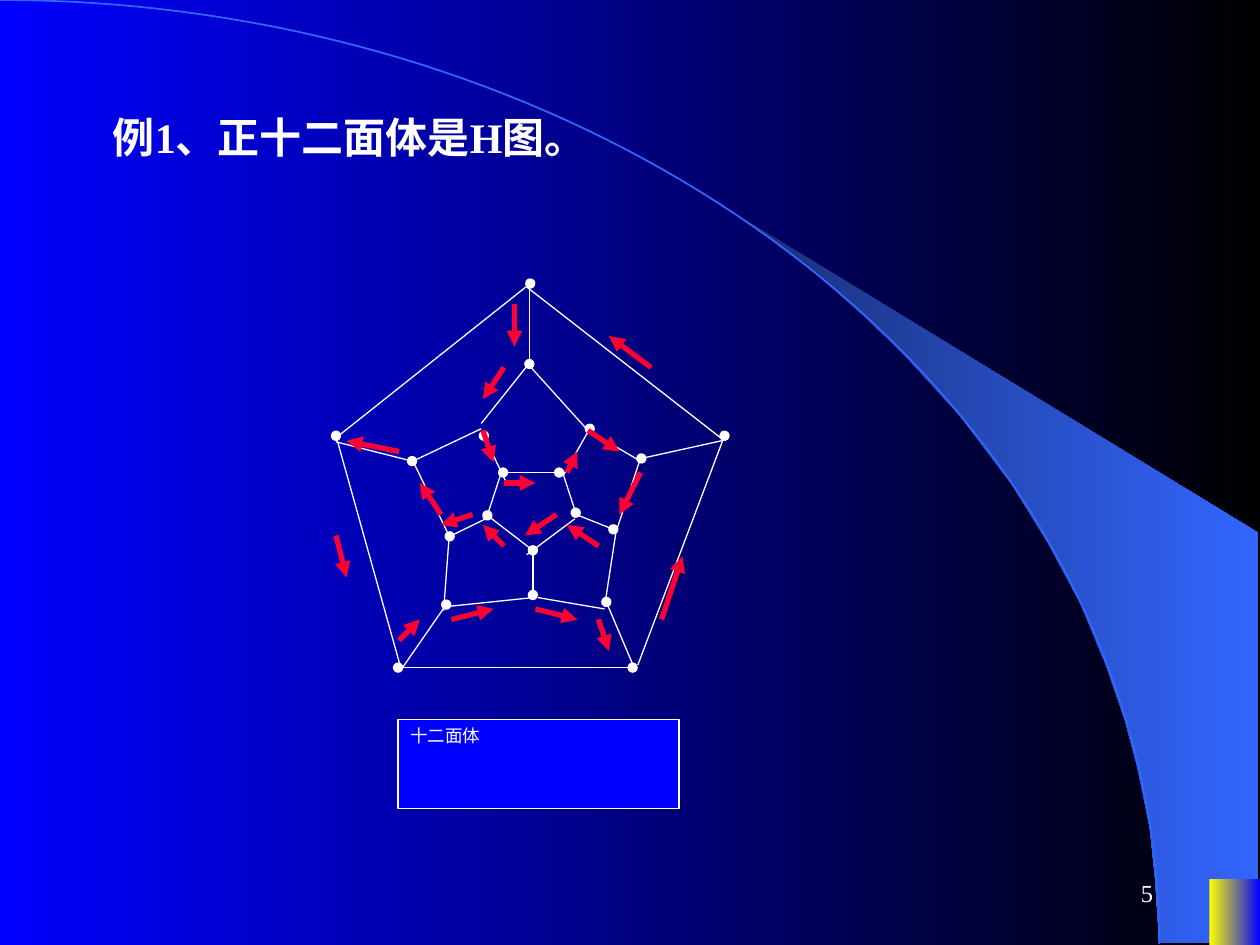
import math

import lxml.etree
import pptx
import pptx.dml.color
import pptx.enum.shapes
import pptx.enum.text
import pptx.oxml.ns
import pptx.util

Pt = pptx.util.Pt
qn = pptx.oxml.ns.qn
ALIGN = pptx.enum.text.PP_ALIGN
ANCHOR = pptx.enum.text.MSO_ANCHOR
RECT = pptx.enum.shapes.MSO_SHAPE.RECTANGLE
STRAIGHT = pptx.enum.shapes.MSO_CONNECTOR.STRAIGHT

FONT = "Times New Roman"
COLORS = {
    "blue": "0000FF",
    "black": "000000",
    "navy": "182F76",
    "sky": "3366FF",
    "yellow": "FFFF00",
    "white": "FFFFFF",
    "red": "FF0033",
}

# Edges of the dodecahedron graph: x1, y1, x2, y2 in points
EDGES_DOT_START = [
    (111, 0, 1.5, 87), (0, 87, 37, 219.5), (63, 183.5, 37, 221),
    (222, 87, 172.5, 218), (154.5, 182, 171, 221), (43.5, 101.5, 0, 90.5),
    (174.5, 100, 222, 89.5), (110.5, 46, 110.5, 0), (86.5, 132.5, 94, 109.5),
    (137, 131, 130, 109.5), (112.5, 152.5, 86.5, 132.5), (84.5, 87, 97.5, 114),
    (145, 83, 130, 109.5), (65, 144.5, 86.5, 134), (158.5, 140.5, 138.5, 132.5),
    (112.5, 178, 112.5, 154),
]
EDGES_DOT_BOTH = [(169.5, 219.5, 35.5, 219.5), (127.5, 108, 95.5, 108)]
EDGES_PLAIN = [
    (109, 2, 221.5, 89.5), (136.5, 134.5, 109, 155), (110.5, 45.5, 83, 80),
    (111, 47.5, 144, 84), (144, 84, 174, 101.5), (174, 100, 160, 142),
    (115.5, 179.5, 153.5, 186), (160, 142, 153.5, 184.5), (64.5, 147, 61.5, 187),
    (64.5, 184.5, 112.5, 179.5), (44, 101.5, 83, 83), (44, 101.5, 66, 147),
]

# Arrows of the Hamiltonian cycle: x1, y1, x2, y2 in steps of the grid
GRID = 6
CYCLE = [
    (0, 24, 1, 28), (6, 34, 8, 32), (11, 32, 15, 31), (19, 31, 23, 32),
    (25, 32, 26, 35), (31, 32, 33, 26), (30, 8, 26, 5), (17, 2, 17, 6),
    (16, 8, 14, 11), (14, 14, 15, 17), (16, 19, 19, 19), (22, 18, 23, 16),
    (24, 14, 27, 16), (29, 18, 27, 22), (25, 25, 22, 23), (21, 22, 18, 24),
    (16, 25, 14, 23), (13, 22, 10, 23), (10, 22, 8, 19), (6, 16, 1, 15),
]

# Curved wedge at the right: points relative to its box
WEDGE = [
    (238.5, 414), (295, 414.5), (295, 180), (0, 0), (25, 18.5), (46, 35),
    (69, 55.5), (91.5, 77), (124.5, 113), (154, 152), (175, 186), (193.5, 220.5),
    (208, 255.5), (219, 287.5), (226, 314), (233, 348), (236, 376.5),
]


def rgb(name):
    return pptx.dml.color.RGBColor.from_string(COLORS[name])


def set_gradient(fill, start, end):
    fill.gradient()
    fill.gradient_angle = 0
    for stop, name, pos in zip(fill.gradient_stops, (start, end), (0, 1)):
        stop.color.rgb = rgb(name)
        stop.position = pos


def add_line(shapes, x1, y1, x2, y2, color, width, head=None, tail=None):
    c = shapes.add_connector(STRAIGHT, Pt(x1), Pt(y1), Pt(x2), Pt(y2))
    c.line.color.rgb = rgb(color)
    c.line.width = Pt(width)
    ln = c.line._get_or_add_ln()
    for tag, kind in (("a:headEnd", head), ("a:tailEnd", tail)):
        if kind:
            lxml.etree.SubElement(ln, qn(tag), type=kind)
    lxml.etree.SubElement(c._element.spPr, qn("a:effectLst"))


def add_outline(shapes, x, y, points, close):
    pts = [(Pt(x + px), Pt(y + py)) for px, py in points]
    fb = shapes.build_freeform(*pts[0], scale=1.0)
    fb.add_line_segments(pts[1:], close=close)
    sp = fb.convert_to_shape()
    sp.shadow.inherit = False
    return sp


def set_text(sp, text, size, align, anchor=ANCHOR.TOP, bold=False):
    tf = sp.text_frame
    tf.word_wrap = True
    tf.vertical_anchor = anchor
    p = tf.paragraphs[0]
    p.alignment = align
    r = p.add_run()
    r.text = text
    r.font.size = Pt(size)
    r.font.name = FONT
    r.font.bold = bold
    r.font.color.rgb = rgb("white")


def add_backdrop(s, w, h):
    set_gradient(s.background.fill, "blue", "black")
    # Wedge
    sp = add_outline(s.shapes, w - 296, 124.5, WEDGE, True)
    set_gradient(sp.fill, "navy", "sky")
    sp.line.fill.background()
    # Quarter ellipse
    steps = 80
    angles = [math.pi / 2 * i / steps for i in range(steps + 1)]
    rx, ry = w - 57.6, h - 0.7
    arc = [(rx * math.sin(t), ry * (1 - math.cos(t))) for t in angles]
    sp = add_outline(s.shapes, 0, 0, arc, False)
    sp.fill.background()
    sp.line.color.rgb = rgb("sky")
    sp.line.width = Pt(1)
    # Corner block
    sp = s.shapes.add_shape(RECT, Pt(w - 29), Pt(h - 37.5), Pt(29), Pt(37.5))
    sp.shadow.inherit = False
    set_gradient(sp.fill, "yellow", "blue")
    sp.line.fill.background()


def add_title(s, x, y, w, h):
    sp = s.shapes.add_textbox(Pt(x), Pt(y), Pt(w), Pt(h))
    set_text(sp, "例1、正十二面体是H图。", 24, ALIGN.LEFT, bold=True)
    sp.text_frame.margin_left = Pt(28.5)


def add_page_number(s, x, y, w, h):
    sp = s.shapes.add_textbox(Pt(x), Pt(y), Pt(w), Pt(h))
    set_text(sp, "5", 14, ALIGN.RIGHT, ANCHOR.MIDDLE)


def add_dodecahedron(s, x, y):
    grp = s.shapes.add_group_shape()
    for edges, head, tail in (
        (EDGES_DOT_START, "oval", None),
        (EDGES_DOT_BOTH, "oval", "oval"),
        (EDGES_PLAIN, None, None),
    ):
        for x1, y1, x2, y2 in edges:
            add_line(grp.shapes, x + x1, y + y1, x + x2, y + y2,
                     "white", 0.75, head, tail)
    # Caption
    sp = grp.shapes.add_shape(RECT, Pt(x + 35.5), Pt(y + 249), Pt(160.5), Pt(51))
    sp.shadow.inherit = False
    sp.fill.solid()
    sp.fill.fore_color.rgb = rgb("blue")
    sp.line.color.rgb = rgb("white")
    sp.line.width = Pt(0.75)
    set_text(sp, "十二面体", 10, ALIGN.JUSTIFY)


def add_cycle(s, x, y):
    for x1, y1, x2, y2 in CYCLE:
        add_line(s.shapes, x + x1 * GRID, y + y1 * GRID, x + x2 * GRID,
                 y + y2 * GRID, "red", 3, tail="triangle")


def main():
    prs = pptx.Presentation()
    prs.slide_width, prs.slide_height = Pt(720), Pt(540)
    s = prs.slides.add_slide(prs.slide_layouts[6])
    add_backdrop(s, 720, 540)
    add_page_number(s, 516, 492, 150, 36)
    add_title(s, 36, 60, 588, 36)
    add_dodecahedron(s, 192, 162)
    add_cycle(s, 192, 162)
    prs.save("out.pptx")


if __name__ == "__main__":
    main()
